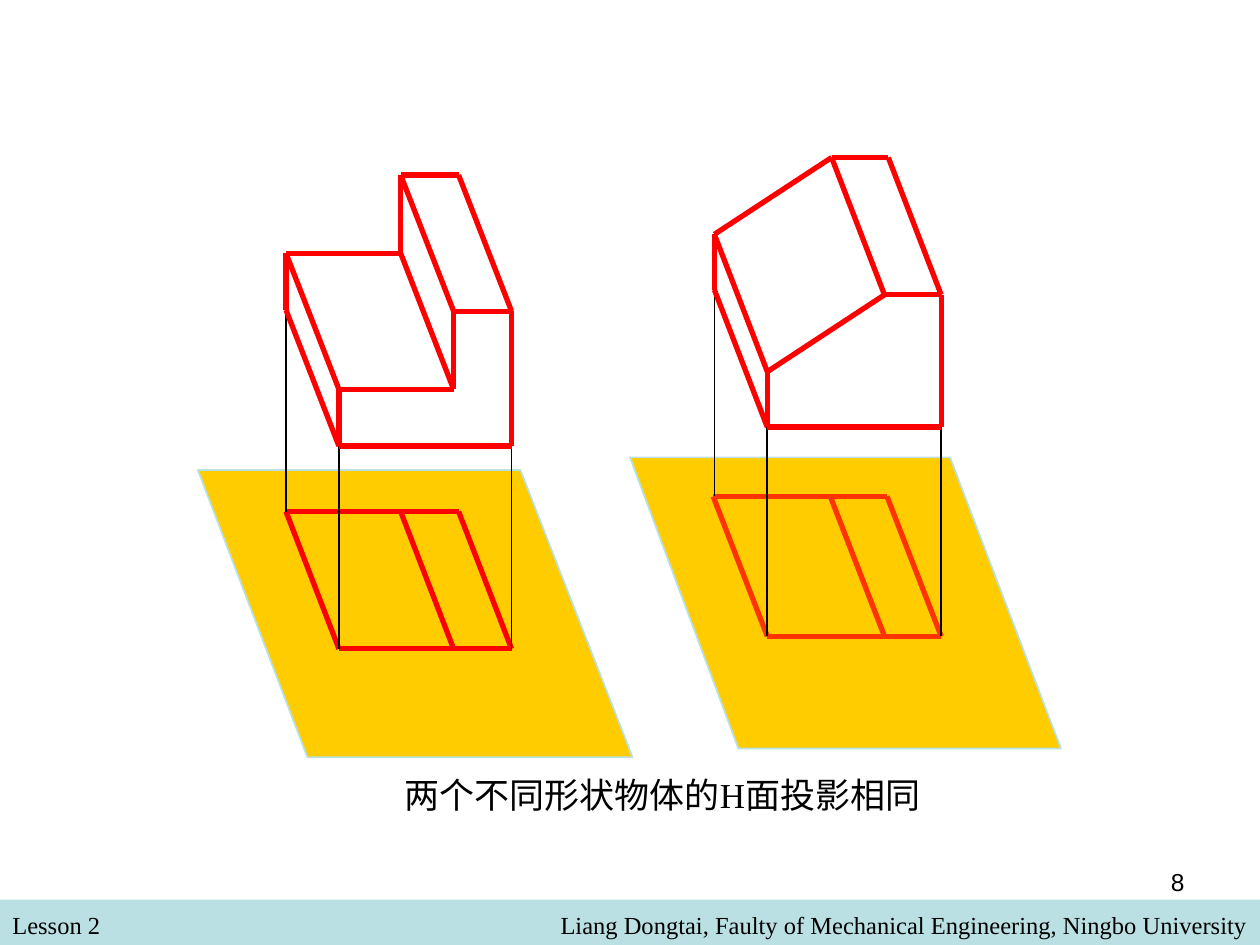
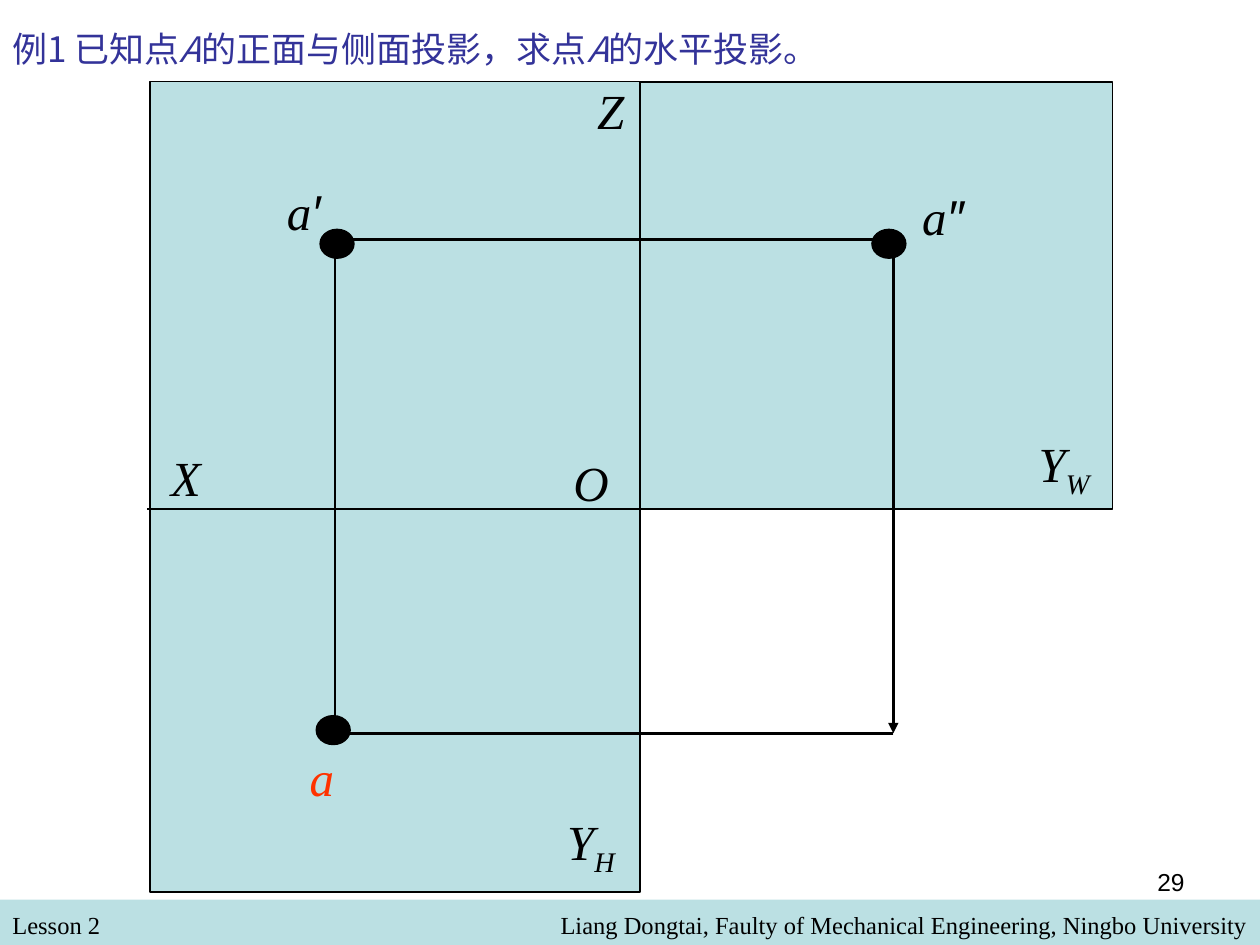
from dataclasses import dataclass
from itertools import pairwise
from typing import NamedTuple

from lxml import etree
from pptx import Presentation
from pptx.dml.color import RGBColor
from pptx.enum.shapes import MSO_CONNECTOR, MSO_SHAPE
from pptx.enum.text import MSO_ANCHOR, PP_ALIGN
from pptx.oxml.ns import qn
from pptx.util import Inches, Pt

RECTANGLE, ELLIPSE = MSO_SHAPE.RECTANGLE, MSO_SHAPE.OVAL
STRAIGHT = MSO_CONNECTOR.STRAIGHT
LEFT, CENTER, RIGHT = PP_ALIGN.LEFT, PP_ALIGN.CENTER, PP_ALIGN.RIGHT
TOP, MIDDLE = MSO_ANCHOR.TOP, MSO_ANCHOR.MIDDLE

BLACK, RED, ORANGE_RED = "000000", "FF0000", "FF3300"
GOLD, PALE_BLUE, NAVY = "FFCC00", "BBE0E3", "333399"
SERIF, SANS, CHINESE = "Times New Roman", "Arial", "Noto Sans CJK SC"


class Point(NamedTuple):
    x: float
    y: float

    def moved(self, offset: "Point") -> "Point":
        return Point(self.x + offset.x, self.y + offset.y)


class Box(NamedTuple):
    left: float
    top: float
    width: float
    height: float

    def lengths(self) -> list:
        return [Inches(value) for value in self]


class Run(NamedTuple):
    text: str
    size: int
    font: str = SERIF
    color: str = BLACK
    italic: bool = False
    baseline: int = 0
    east_asian: str = ""


@dataclass
class Solid:
    """Oblique solid with its plane, footprint and projection lines."""
    back: list[Point]            # visible back outline, from bottom left to top right
    depth: Point
    plane: list[Point]
    footprint: list[Point]       # left, ridge and right corners of the back edge
    footprint_depth: Point
    footprint_color: str


@dataclass
class AxisLabel:
    box: Box
    text: str
    mark: str = ""
    mark_font: str = SERIF
    mark_baseline: int = 0
    color: str = BLACK
    wrap: bool = False


# Shared drawing helpers
def rgb(color: str) -> RGBColor:
    return RGBColor.from_string(color)


def paint(shape, fill: str, line: str = "", width: float = 0.75) -> None:
    shape.shadow.inherit = False
    shape.fill.solid()
    shape.fill.fore_color.rgb = rgb(fill)
    if line:
        shape.line.color.rgb = rgb(line)
        shape.line.width = Pt(width)
    else:
        shape.line.fill.background()


def add_preset(slide, kind, box: Box, fill: str, line: str = "") -> None:
    paint(slide.shapes.add_shape(kind, *box.lengths()), fill, line)


def add_line(slide, start: Point, end: Point, color: str = BLACK,
             width: float = 1, arrow: bool = False) -> None:
    ends = [Inches(value) for value in (*start, *end)]
    connector = slide.shapes.add_connector(STRAIGHT, *ends)
    connector.line.color.rgb = rgb(color)
    connector.line.width = Pt(width)
    if arrow:
        line_xml = connector.line._get_or_add_ln()
        etree.SubElement(line_xml, qn("a:tailEnd"), type="triangle")
    etree.SubElement(connector._element.spPr, qn("a:effectLst"))


def add_text(slide, box: Box, runs: list[Run], alignment=LEFT,
             anchor=TOP, wrap: bool = True) -> None:
    frame = slide.shapes.add_textbox(*box.lengths()).text_frame
    frame.word_wrap = wrap
    frame.vertical_anchor = anchor
    paragraph = frame.paragraphs[0]
    paragraph.alignment = alignment
    for item in runs:
        run = paragraph.add_run()
        run.text = item.text
        run.font.color.rgb = rgb(item.color)
        formats = {"size": Pt(item.size), "name": item.font, "italic": item.italic}
        for name, value in formats.items():
            setattr(run.font, name, value)
        properties = run._r.get_or_add_rPr()
        if item.baseline:
            properties.set("baseline", str(item.baseline * 1000))
        if item.east_asian:
            etree.SubElement(properties, qn("a:ea"), typeface=item.east_asian)


def add_base_slide(presentation, number: int):
    """Blank slide with the footer band and slide number."""
    slide = presentation.slides.add_slide(presentation.slide_layouts[6])
    add_preset(slide, RECTANGLE, Box(0, 7.14, 10, 0.36), PALE_BLUE)
    add_text(slide, Box(0, 7.17, 4.83, 0.34), [Run("Lesson 2", 14)])
    author = "Liang Dongtai, Faulty of Mechanical Engineering, Ningbo University"
    add_text(slide, Box(1.83, 7.17, 8.17, 0.34), [Run(author, 14)], RIGHT)
    add_text(slide, Box(7.17, 6.83, 2.33, 0.52), [Run(str(number), 14, SANS)], RIGHT)
    return slide


# Two solids that share one horizontal projection
SOLIDS = [
    Solid(
        back=[Point(2.27, 2.46), Point(2.27, 2.01), Point(3.18, 2.01),
              Point(3.18, 1.39), Point(3.64, 1.39)],
        depth=Point(0.42, 1.08),
        plane=[Point(2.44, 6.01), Point(5.02, 6.01), Point(4.13, 3.73), Point(1.57, 3.73)],
        footprint=[Point(2.27, 4.06), Point(3.18, 4.06), Point(3.64, 4.06)],
        footprint_depth=Point(0.42, 1.09),
        footprint_color=RED,
    ),
    Solid(
        back=[Point(5.67, 2.3), Point(5.67, 1.86), Point(6.6, 1.25), Point(7.05, 1.25)],
        depth=Point(0.42, 1.09),
        plane=[Point(5.86, 5.94), Point(8.42, 5.94), Point(7.54, 3.63), Point(5, 3.63)],
        footprint=[Point(5.66, 3.94), Point(6.59, 3.94), Point(7.04, 3.94)],
        footprint_depth=Point(0.43, 1.11),
        footprint_color=ORANGE_RED,
    ),
]


def add_plane(slide, corners: list[Point]) -> None:
    points = [(Inches(x), Inches(y)) for x, y in corners]
    builder = slide.shapes.build_freeform(*points[0], scale=1.0)
    builder.add_line_segments(points[1:], close=True)
    paint(builder.convert_to_shape(), GOLD, PALE_BLUE, 1)


def add_solid(slide, solid: Solid) -> None:
    add_plane(slide, solid.plane)

    # Footprint on the plane
    near = [corner.moved(solid.footprint_depth) for corner in solid.footprint]
    edges = [(solid.footprint[0], solid.footprint[-1]), (near[0], near[-1]),
             *zip(solid.footprint, near)]
    for start, end in edges:
        add_line(slide, start, end, solid.footprint_color, 3)

    # Vertical projection lines
    front = [corner.moved(solid.depth) for corner in solid.back]
    drops = [(solid.back[1], solid.footprint[0]), (front[1], near[0]), (front[-1], near[0])]
    for corner, landing in drops:
        add_line(slide, corner, Point(corner.x, landing.y))

    # Visible edges: back outline, depth edges, closed front face
    bottom_right = Point(front[-1].x, front[0].y)
    face = [*front, bottom_right, front[0]]
    for start, end in [*pairwise(solid.back), *zip(solid.back, front), *pairwise(face)]:
        add_line(slide, start, end, RED, 3)


def build_solids_slide(presentation) -> None:
    slide = add_base_slide(presentation, 8)
    for solid in SOLIDS:
        add_solid(slide, solid)
    caption = Run("两个不同形状物体的H面投影相同", 20, east_asian=CHINESE)
    add_text(slide, Box(3.11, 6.09, 4.5, 0.44), [caption])


# Finding the horizontal projection of point A
TITLE_PARTS = ["例1 已知点", "A", "的正面与侧面投影，求点", "A", "的水平投影。"]
PROJECTION_PLANES = [Box(1.19, 0.65, 3.89, 6.43), Box(5.08, 0.65, 3.75, 3.39)]
DOTS = [Point(6.92, 1.82), Point(2.54, 1.82), Point(2.51, 5.68)]
AXIS_LABELS = [
    AxisLabel(Box(1.14, 3.5, 0.67, 0.57), "X", wrap=True),
    AxisLabel(Box(4.64, 0.59, 0.41, 0.57), "Z"),
    AxisLabel(Box(8.06, 3.39, 0.77, 0.63), "Y", "W", mark_baseline=-25, wrap=True),
    AxisLabel(Box(4.22, 6.39, 0.94, 0.63), "Y", "H", mark_baseline=-25, wrap=True),
    AxisLabel(Box(4.45, 3.54, 0.48, 0.57), "O"),
    AxisLabel(Box(2.1, 1.39, 0.62, 0.57), "a", "′", SANS),
    AxisLabel(Box(7.15, 1.43, 0.67, 0.57), "a", "″", SANS),
    AxisLabel(Box(2.36, 5.88, 0.39, 0.57), "a", color=ORANGE_RED),
]


def add_axis_label(slide, label: AxisLabel) -> None:
    runs = [Run(label.text, 28, color=label.color, italic=True)]
    if label.mark:
        runs.append(Run(label.mark, 28, label.mark_font, label.color, True,
                        label.mark_baseline))
    add_text(slide, label.box, runs, CENTER, MIDDLE, label.wrap)


def build_point_slide(presentation) -> None:
    slide = add_base_slide(presentation, 29)
    title = [Run(part, 20, CHINESE, NAVY, part == "A", east_asian=CHINESE)
             for part in TITLE_PARTS]
    add_text(slide, Box(0, 0.17, 7.5, 0.67), title)

    # Projection planes, X axis and labels
    for plane in PROJECTION_PLANES:
        add_preset(slide, RECTANGLE, plane, PALE_BLUE, BLACK)
    add_line(slide, Point(5.08, 4.04), Point(1.17, 4.04), width=0.75)
    for label in AXIS_LABELS:
        add_axis_label(slide, label)

    # Projected points and the path that locates a
    for dot in DOTS:
        add_preset(slide, ELLIPSE, Box(*dot, 0.27, 0.23), BLACK, BLACK)
    front_view, side_view = Point(2.67, 1.9), Point(7.09, 1.9)
    top_view, turn = Point(2.67, 5.82), Point(7.09, 5.82)
    add_line(slide, front_view, side_view, width=1.5)
    for start, end in [(Point(2.66, 2), Point(2.66, 5.82)), (turn, top_view),
                       (side_view, turn)]:
        add_line(slide, start, end, width=1.5, arrow=True)


def main() -> None:
    presentation = Presentation()
    presentation.slide_width = Inches(10)
    presentation.slide_height = Inches(7.5)
    build_solids_slide(presentation)
    build_point_slide(presentation)
    presentation.save("out.pptx")


if __name__ == "__main__":
    main()
